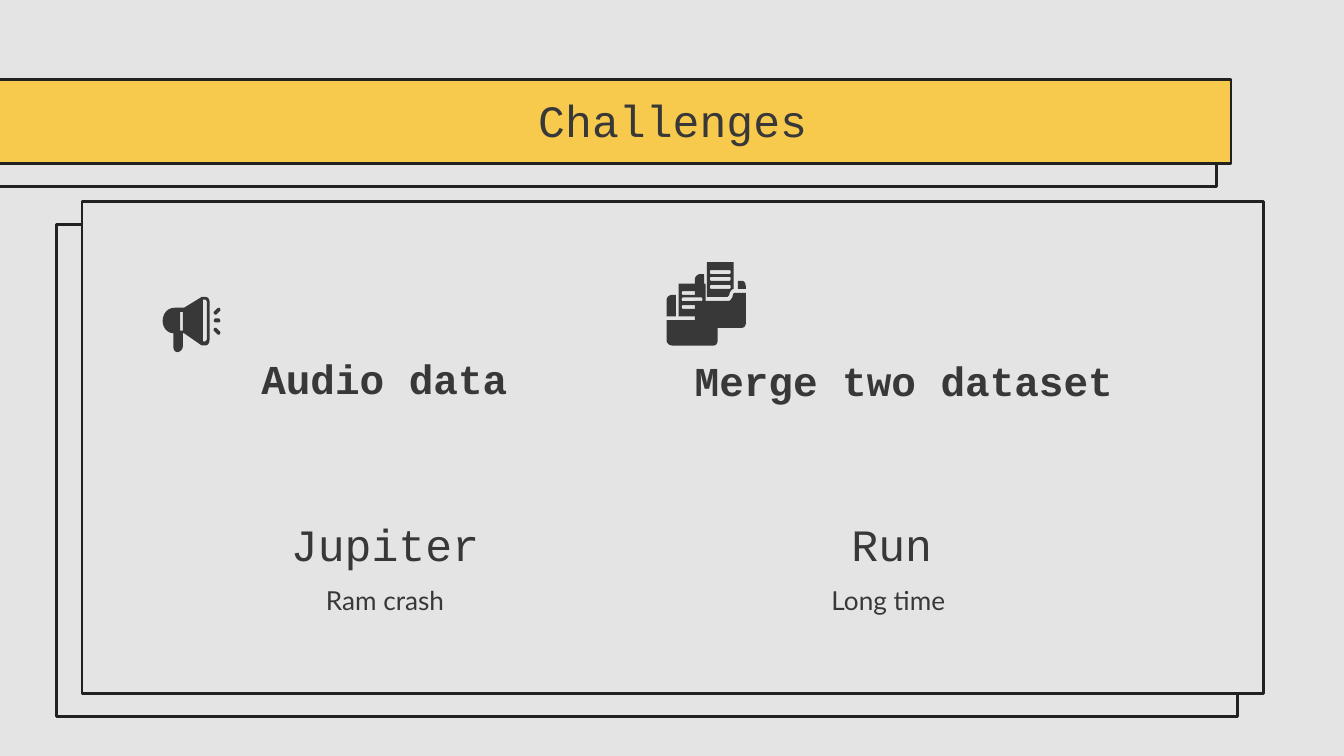
from pptx import Presentation
from pptx.dml.color import RGBColor
from pptx.enum.shapes import MSO_SHAPE
from pptx.enum.text import MSO_ANCHOR, PP_ALIGN
from pptx.util import Inches, Pt

RECTANGLE = MSO_SHAPE.RECTANGLE
TOP, MIDDLE = MSO_ANCHOR.TOP, MSO_ANCHOR.MIDDLE
CENTER = PP_ALIGN.CENTER

THEME = {
    "paper": RGBColor.from_string("E5E4E4"),
    "banner": RGBColor.from_string("F7CA4D"),
    "outline": RGBColor.from_string("212121"),
    "ink": RGBColor.from_string("383838"),
    "outline_width": 1.5,
    "title": ("Courier New", 24, False, TOP),
    "topic": ("Courier New", 22, True, MIDDLE),
    "cause": ("Courier New", 24, False, MIDDLE),
    "effect": ("Lato", 14, False, TOP),
}

PANELS = [
    (0.42, 1.67, 8.79, 3.66, "paper"),
    (0.61, 1.5, 8.79, 3.66, "paper"),
    (-0.44, 0.76, 9.49, 0.63, "paper"),
    (-0.33, 0.59, 9.49, 0.63, "banner"),
]

HEADINGS = [
    ("Challenges", "title", (0.79, 0.59, 8.43, 0.52)),
    ("Audio data", "topic", (1.33, 2.68, 3.06, 0.27)),
    ("Merge two dataset", "topic", (4.81, 2.57, 3.83, 0.52)),
]
CAUSES = [(1.6, "Jupiter", "Ram crash"), (5.37, "Run", "Long time ")]

MEGAPHONE_BODY = [
    [(1.36, 2.32), (1.36, 2.46), (1.34, 2.46), (1.34, 2.32)],
    [(1.53, 2.23), (1.53, 2.23, 1.54, 2.24, 1.54, 2.25), (1.54, 2.52),
     (1.54, 2.53, 1.53, 2.54, 1.53, 2.54), (1.51, 2.54), (1.51, 2.23)],
    [(1.5, 2.21), (1.37, 2.29), (1.3, 2.29), (1.25, 2.29, 1.21, 2.33, 1.21, 2.39),
     (1.21, 2.43, 1.24, 2.48, 1.29, 2.48), (1.29, 2.58),
     (1.29, 2.6, 1.3, 2.62, 1.32, 2.62), (1.34, 2.62, 1.36, 2.6, 1.36, 2.58),
     (1.36, 2.48), (1.37, 2.48), (1.5, 2.57), (1.53, 2.57),
     (1.55, 2.57, 1.56, 2.55, 1.56, 2.52), (1.56, 2.25),
     (1.56, 2.23, 1.55, 2.21, 1.53, 2.21)],
]
MIDDLE_RAY = [(1.6, 2.37), (1.6, 2.37, 1.59, 2.38, 1.59, 2.39),
              (1.59, 2.39, 1.6, 2.4, 1.6, 2.4), (1.63, 2.4),
              (1.63, 2.4, 1.64, 2.39, 1.64, 2.39), (1.64, 2.38, 1.63, 2.37, 1.63, 2.37)]
SLANTED_RAY = [(1.62, 2.29), (1.59, 2.32), (1.59, 2.33, 1.59, 2.34, 1.6, 2.34),
               (1.61, 2.34), (1.64, 2.31), (1.64, 2.31, 1.64, 2.29, 1.63, 2.29)]
RAY_AXIS = 2.39

FOLDER_BACK = [(0.32, 0.14), (0.32, 0.2), (0.38, 0.2), (0.38, 0.19),
               (0.38, 0.16, 0.37, 0.14, 0.35, 0.14)]
PAGE = [(0.1, 0), (0.09, 0, 0.09, 0, 0.09, 0.01), (0.09, 0.26), (0.24, 0.26),
        (0.25, 0.26, 0.26, 0.24, 0.26, 0.23), (0.27, 0.21, 0.28, 0.2, 0.29, 0.2),
        (0.29, 0.01), (0.29, 0, 0.29, 0, 0.28, 0)]
FOLDER_SIDE = [(0.04, 0.09), (0.02, 0.09, 0, 0.11, 0, 0.13), (0, 0.26),
               (0.07, 0.26), (0.07, 0.09)]
FOLDER_FRONT = [(0.29, 0.23), (0.29, 0.23, 0.28, 0.25, 0.28, 0.26),
                (0.27, 0.28, 0.26, 0.29, 0.25, 0.29), (0, 0.29), (0, 0.45),
                (0, 0.47, 0.02, 0.49, 0.04, 0.49), (0.35, 0.49),
                (0.37, 0.49, 0.38, 0.47, 0.38, 0.45), (0.38, 0.23)]
TEXT_LINE_TOPS = [0.06, 0.11, 0.17]
FOLDERS = [(4.96, 2.11, 0.94), (5.17, 1.95, 1)]
CURVE_STEPS = 6


def text_line(top):
    bottom = top + 0.03
    return [(0.26, top), (0.27, top, 0.27, bottom, 0.26, bottom),
            (0.12, bottom), (0.11, bottom, 0.11, top, 0.12, top)]


def flatten(contour):
    points = [contour[0]]
    for step in contour[1:]:
        if len(step) == 2:
            points.append(step)
            continue
        controls = [points[-1], step[:2], step[2:4], step[4:]]
        for index in range(1, CURVE_STEPS + 1):
            t = index / CURVE_STEPS
            weights = ((1 - t) ** 3, 3 * t * (1 - t) ** 2, 3 * t * t * (1 - t), t ** 3)
            points.append(tuple(sum(weight * control[axis] for weight, control
                                    in zip(weights, controls)) for axis in (0, 1)))
    return points


def add_outline(slide, contours, left=0, top=0, stretch=1):
    builder = None
    for contour in contours:
        points = [(Inches(left + x), Inches(top + y * stretch))
                  for x, y in flatten(contour)]
        if builder is None:
            builder = slide.shapes.build_freeform(*points[0], scale=1.0)
        else:
            builder.move_to(*points[0])
        builder.add_line_segments(points[1:], close=True)
    shape = builder.convert_to_shape()
    shape.shadow.inherit = False
    shape.fill.solid()
    shape.fill.fore_color.rgb = THEME["ink"]
    shape.line.fill.background()


def add_panel(slide, left, top, width, height, fill):
    shape = slide.shapes.add_shape(RECTANGLE, *map(Inches, (left, top, width, height)))
    shape.shadow.inherit = False
    shape.fill.solid()
    shape.fill.fore_color.rgb = THEME[fill]
    shape.line.color.rgb = THEME["outline"]
    shape.line.width = Pt(THEME["outline_width"])


def add_text(slide, text, style, box):
    font_name, size, bold, anchor = THEME[style]
    text_frame = slide.shapes.add_textbox(*map(Inches, box)).text_frame
    text_frame.word_wrap = True
    text_frame.vertical_anchor = anchor
    text_frame.margin_left = text_frame.margin_right = Inches(0.1)
    text_frame.margin_top = text_frame.margin_bottom = Inches(0.1)
    text_frame.text = text
    paragraph = text_frame.paragraphs[0]
    paragraph.alignment = CENTER
    font = paragraph.runs[0].font
    font.name, font.size, font.bold = font_name, Pt(size), bold
    font.color.rgb = THEME["ink"]


def main():
    presentation = Presentation()
    presentation.slide_width = Inches(10)
    presentation.slide_height = Inches(10) * 9 // 16
    slide = presentation.slides.add_slide(presentation.slide_layouts[6])
    slide.background.fill.solid()
    slide.background.fill.fore_color.rgb = THEME["paper"]

    for panel in PANELS:
        add_panel(slide, *panel)
    for heading in HEADINGS:
        add_text(slide, *heading)
    for left, cause, effect in CAUSES:
        add_text(slide, effect, "effect", (left, 4.25, 2.53, 0.76))
        add_text(slide, cause, "cause", (left, 3.91, 2.53, 0.27))

    add_outline(slide, [MIDDLE_RAY])
    add_outline(slide, [SLANTED_RAY])
    add_outline(slide, [SLANTED_RAY], top=2 * RAY_AXIS, stretch=-1)
    add_outline(slide, MEGAPHONE_BODY)
    page_contours = [text_line(top) for top in TEXT_LINE_TOPS] + [PAGE]
    for folder in FOLDERS:
        for contours in ([FOLDER_BACK], page_contours, [FOLDER_SIDE], [FOLDER_FRONT]):
            add_outline(slide, contours, *folder)

    presentation.save("out.pptx")


if __name__ == "__main__":
    main()
